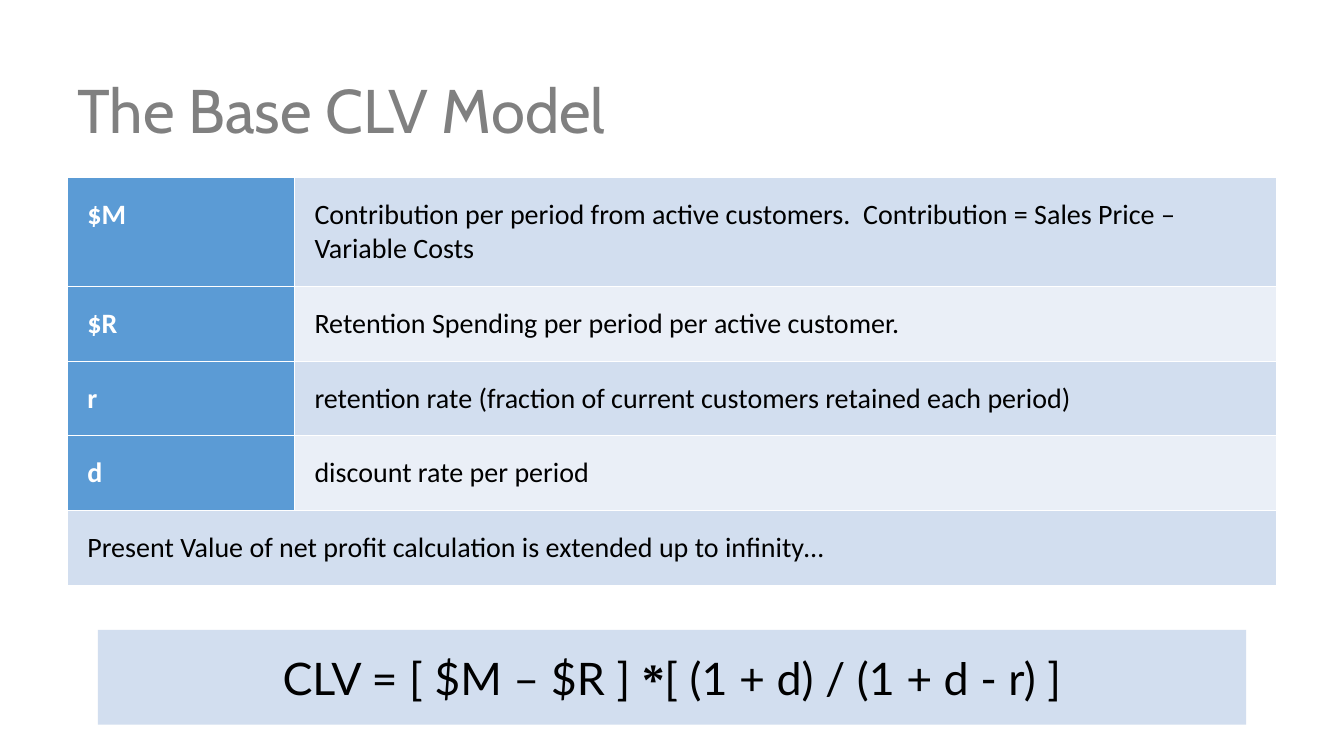
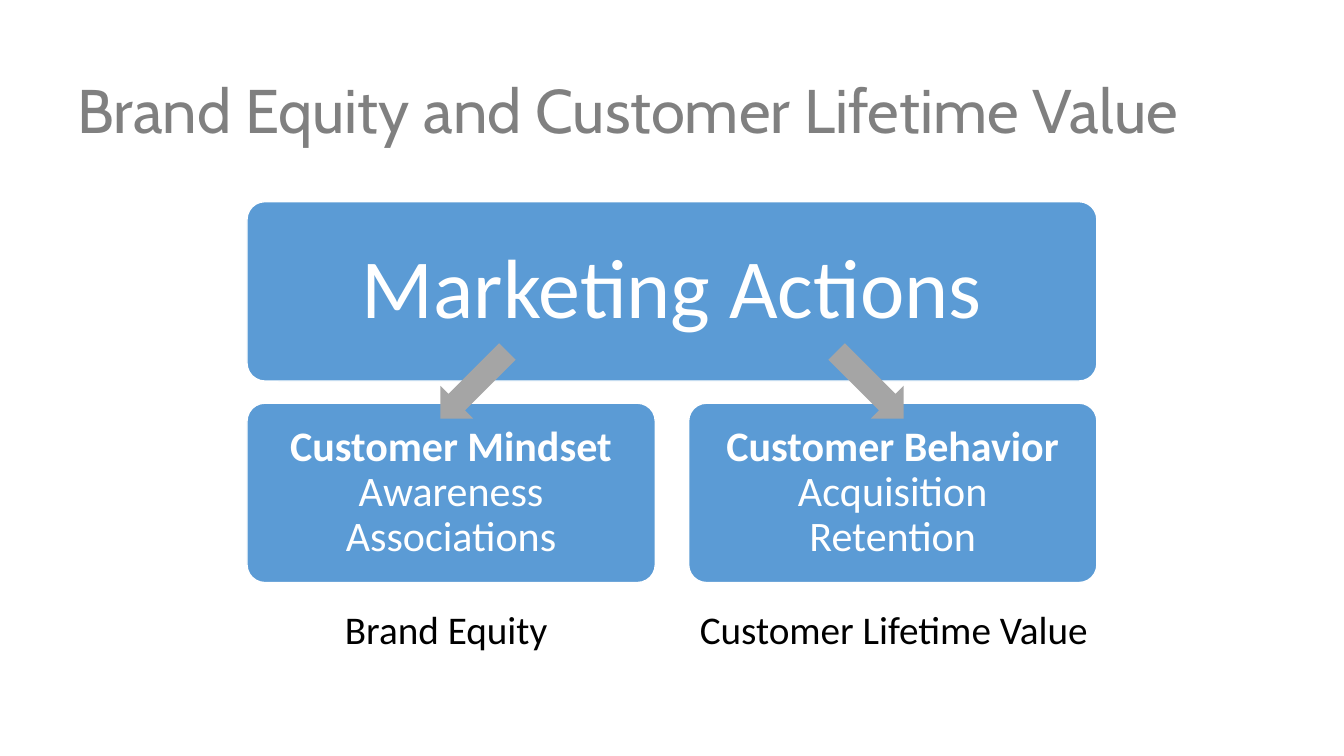
from dataclasses import dataclass

from lxml.etree import SubElement
from pptx import Presentation
from pptx.dml.color import RGBColor
from pptx.enum.shapes import MSO_SHAPE
from pptx.enum.text import MSO_ANCHOR, MSO_AUTO_SIZE, PP_ALIGN
from pptx.oxml.ns import qn
from pptx.util import Inches, Pt

SLIDE_W, SLIDE_H = Inches(13.33), Inches(7.5)
COLORS = {
    "title": "808080",
    "accent": "5B9BD5",
    "band": "D2DEEF",
    "band_light": "EAEFF7",
    "arrow": "A5A5A5",
    "white": "FFFFFF",
    "black": "000000",
}


@dataclass(frozen=True)
class Box:
    """Percentages of the slide's width and height."""
    left: float
    top: float
    width: float
    height: float

    def emu(self):
        return (pct_w(self.left), pct_h(self.top),
                pct_w(self.width), pct_h(self.height))


@dataclass(frozen=True)
class Term:
    symbol: str
    meaning: str
    height: float = 9.87


@dataclass(frozen=True)
class Branch:
    heading: str
    points: str
    caption: str
    caption_left: float
    caption_width: float
    arrow: MSO_SHAPE
    arrow_left: float
    rotation: int


TITLE = Box(5, 5.33, 90, 19.33)
TABLE = Box(5, 23.5, 90, 53.78)
SYMBOL_WIDTH = 16.9
FORMULA = Box(7.28, 83.33, 85.44, 12.53)
TERMS = [
    Term("$M", "Contribution per period from active customers.  "
         "Contribution = Sales Price – Variable Costs", 14.3),
    Term("$R", "Retention Spending per period per active customer."),
    Term("r", "retention rate (fraction of current customers retained each period)"),
    Term("d", "discount rate per period"),
    Term("", "Present Value of net profit calculation is extended up to infinity…"),
]

ACTIONS = Box(18.38, 26.67, 63.24, 23.73)
BRANCH_TOP, BRANCH_WIDTH = 53.33, 30.38
ARROW_LEFT, ARROW_WIDTH = 31.73, 7.05
BRANCHES = [
    Branch("Customer Mindset", "Awareness\nAssociations", "Brand Equity",
           24.83, 16.73, MSO_SHAPE.LEFT_ARROW, ARROW_LEFT, 315),
    Branch("Customer Behavior", "Acquisition\nRetention", "Customer Lifetime Value",
           51.16, 30.68, MSO_SHAPE.RIGHT_ARROW, 100 - ARROW_LEFT - ARROW_WIDTH, 45),
]


def pct_w(share: float) -> int:
    return int(SLIDE_W * share / 100)


def pct_h(share: float) -> int:
    return int(SLIDE_H * share / 100)


def rgb(name: str) -> RGBColor:
    return RGBColor.from_string(COLORS[name])


def write(p, text: str, *, size: float, color: str = "black",
          font: str = "Calibri", bold: bool = False, align=None, spacing=None) -> None:
    if align is not None:
        p.alignment = align
    if spacing is not None:
        p.line_spacing = spacing
    for i, line in enumerate(text.split("\n")):
        if i:
            p.add_line_break()
        r = p.add_run()
        r.text = line
        r.font.name, r.font.size, r.font.bold = font, Pt(size), bold
        r.font.color.rgb = rgb(color)


def set_margins(target, inset: float) -> None:
    for side in ("left", "top", "right", "bottom"):
        setattr(target, f"margin_{side}", Inches(inset))


def add_box(s, kind, box: Box, fill: str, *, line=None, inset: float = 0.1):
    sp = s.shapes.add_shape(kind, *box.emu())
    sp.shadow.inherit = False
    sp.fill.solid()
    sp.fill.fore_color.rgb = rgb(fill)
    if line:
        sp.line.color.rgb = rgb(line)
        sp.line.width = Pt(1)
    else:
        sp.line.fill.background()
    tf = sp.text_frame
    tf.word_wrap = True
    tf.vertical_anchor = MSO_ANCHOR.MIDDLE
    set_margins(tf, inset)
    return sp


def add_card(s, box: Box, inset: float):
    sp = add_box(s, MSO_SHAPE.ROUNDED_RECTANGLE, box, "accent", line="white", inset=inset)
    sp.adjustments[0] = 0.1
    return sp.text_frame.paragraphs[0]


def add_titled_slide(prs, title: str):
    s = prs.slides.add_slide(prs.slide_layouts[5])
    sp = s.shapes.title
    sp.left, sp.top, sp.width, sp.height = TITLE.emu()
    tf = sp.text_frame
    tf.auto_size = MSO_AUTO_SIZE.NONE
    tf.vertical_anchor = MSO_ANCHOR.MIDDLE
    write(tf.paragraphs[0], title, size=44, color="title", font="Cabin",
          align=PP_ALIGN.LEFT, spacing=0.9)
    return s


def format_cell(cell, fill: str) -> None:
    tc_pr = cell._tc.get_or_add_tcPr()
    for edge in ("a:lnL", "a:lnR", "a:lnT", "a:lnB"):
        ln = SubElement(tc_pr, qn(edge), w=str(Pt(1)))
        SubElement(SubElement(ln, qn("a:solidFill")), qn("a:srgbClr"), val=COLORS["white"])
    cell.fill.solid()
    cell.fill.fore_color.rgb = rgb(fill)
    set_margins(cell, 0.2)


def add_terms_table(s) -> None:
    table = s.shapes.add_table(len(TERMS), 2, *TABLE.emu()).table
    table.first_row = table.horz_banding = False
    table.columns[0].width = pct_w(SYMBOL_WIDTH)
    table.columns[1].width = pct_w(TABLE.width - SYMBOL_WIDTH)
    for i, term in enumerate(TERMS):
        table.rows[i].height = pct_h(term.height)
        symbol, meaning = table.cell(i, 0), table.cell(i, 1)
        band = "band_light" if i % 2 else "band"
        format_cell(symbol, "accent" if term.symbol else band)
        format_cell(meaning, band)
        if term.symbol:
            write(symbol.text_frame.paragraphs[0], term.symbol,
                  size=20, color="white", bold=True)
        else:
            symbol.merge(meaning)
            meaning = symbol
        write(meaning.text_frame.paragraphs[0], term.meaning, size=20)


def build_model_slide(prs) -> None:
    s = add_titled_slide(prs, "The Base CLV Model")
    add_terms_table(s)
    sp = add_box(s, MSO_SHAPE.RECTANGLE, FORMULA, "band", inset=0.2)
    p = sp.text_frame.paragraphs[0]
    write(p, "CLV = [ $M – $R ] ", size=32, font="Lato", align=PP_ALIGN.CENTER)
    write(p, "*", size=32, font="Times New Roman", bold=True)
    write(p, "[ (1 + d) / (1 + d - r) ]", size=32, font="Lato")


def add_caption(s, branch: Branch) -> None:
    box = Box(branch.caption_left, 79.47, branch.caption_width, 7.6)
    tf = s.shapes.add_textbox(*box.emu()).text_frame
    tf.word_wrap = False
    write(tf.paragraphs[0], branch.caption, size=28, align=PP_ALIGN.CENTER)


def build_equity_slide(prs) -> None:
    s = add_titled_slide(prs, "Brand Equity and Customer Lifetime Value")
    write(add_card(s, ACTIONS, 0.3), "Marketing Actions", size=60, color="white",
          align=PP_ALIGN.CENTER, spacing=0.9)
    step = ACTIONS.width - BRANCH_WIDTH
    for i, branch in enumerate(BRANCHES):
        box = Box(ACTIONS.left + i * step, BRANCH_TOP, BRANCH_WIDTH, ACTIONS.height)
        p = add_card(s, box, 0.17)
        write(p, branch.heading, size=30, color="white", bold=True,
              align=PP_ALIGN.CENTER, spacing=0.9)
        p.add_line_break()
        write(p, branch.points, size=30, color="white")
        add_caption(s, branch)
    for branch in BRANCHES:
        box = Box(branch.arrow_left, 47.87, ARROW_WIDTH, 6.13)
        add_box(s, branch.arrow, box, "arrow").rotation = branch.rotation


def main() -> None:
    prs = Presentation()
    prs.slide_width, prs.slide_height = SLIDE_W, SLIDE_H
    build_model_slide(prs)
    build_equity_slide(prs)
    prs.save("out.pptx")


if __name__ == "__main__":
    main()
